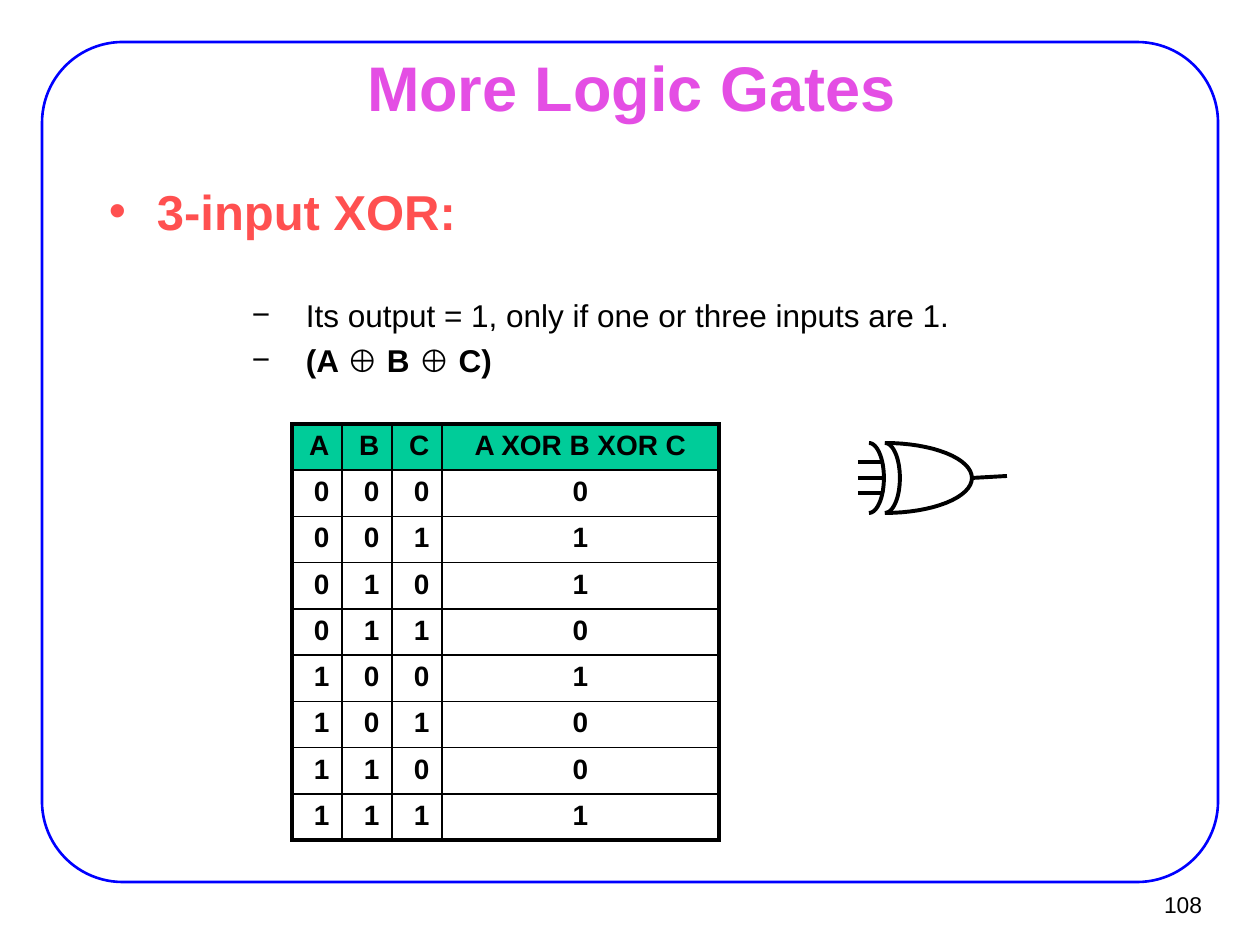
"""Build a slide on the three-input XOR gate with its truth table and symbol."""
from dataclasses import dataclass
from itertools import product
from math import cos, pi, sin

from lxml import etree
from pptx import Presentation
from pptx.dml.color import RGBColor
from pptx.enum.shapes import MSO_CONNECTOR, MSO_SHAPE
from pptx.enum.text import MSO_ANCHOR, PP_ALIGN
from pptx.oxml.ns import qn
from pptx.util import Emu, Pt

STRAIGHT = MSO_CONNECTOR.STRAIGHT
ROUNDED = MSO_SHAPE.ROUNDED_RECTANGLE
TOP, MIDDLE = MSO_ANCHOR.TOP, MSO_ANCHOR.MIDDLE
LEFT, CENTER, RIGHT = PP_ALIGN.LEFT, PP_ALIGN.CENTER, PP_ALIGN.RIGHT
EMU_PER_PX = 914400 / 126


@dataclass(frozen=True)
class Theme:
    font: str = "Arial"
    ink: str = "000000"
    title: str = "E44EE4"
    heading: str = "FF5050"
    frame: str = "0000FF"
    header: str = "00CC99"
    title_size: int = 36
    heading_size: int = 28
    body_size: int = 18
    table_size: int = 16
    number_size: int = 13
    thin: float = 1
    frame_line: float = 1.5
    thick: float = 2.25


THEME = Theme()

TITLE = "More Logic Gates"
PAGE_NUMBER = "108"
HEADING = [("3-input XOR:", True)]
RULE = [("Its output = 1, only if one or three inputs are 1.", False)]
FORMULA = [("(A ", True), ("⊕", False), (" B ", True), ("⊕", False), (" C)", True)]
HEADERS = ["A", "B", "C", "A XOR B XOR C"]
TRUTH_ROWS = [(*bits, sum(bits) % 2) for bits in product((0, 1), repeat=3)]

FRAME = (42, 42, 1176, 840)
TITLE_BOX = (96, 55, 1071, 62)
BODY_BOX = (95, 174, 1071, 634)
NUMBER_BOX = (1137, 881, 77, 47)
TABLE_AT = (292, 424)
COLUMN_WIDTHS = [50, 50, 50, 277]
ROW_HEIGHT = 46
GATE_MIDDLE, GATE_HALF_HEIGHT = 478, 35
GATE_CURVES = [(869, 15), (885, 15), (885, 87)]
GATE_WIRES = [
    (858, 462, 883, 462),
    (858, 478, 882, 478),
    (858, 493, 883, 493),
    (972, 478, 1007, 476),
]


def px(length):
    return Emu(round(length * EMU_PER_PX))


def style(font, size, color, bold=False):
    font.name, font.size, font.bold = THEME.font, Pt(size), bold
    font.color.rgb = RGBColor.from_string(color)


def stroke(line, color, width):
    line.color.rgb = RGBColor.from_string(color)
    line.width = Pt(width)


def add_text_box(slide, box, inset, anchor):
    frame = slide.shapes.add_textbox(*map(px, box)).text_frame
    frame.word_wrap, frame.vertical_anchor = True, anchor
    frame.margin_left = frame.margin_right = px(inset)
    frame.margin_top = frame.margin_bottom = px(inset / 2)
    return frame


def add_line_of_text(slide, box, inset, text, align, size, color, bold):
    paragraph = add_text_box(slide, box, inset, MIDDLE).paragraphs[0]
    paragraph.text, paragraph.alignment = text, align
    style(paragraph.font, size, color, bold)


def add_body(slide):
    items = [
        (HEADING, "•", 48, 48, 0, THEME.heading_size, THEME.heading),
        (RULE, "−", 197, 54, 32, THEME.body_size, THEME.ink),
        (FORMULA, "−", 197, 54, 4, THEME.body_size, THEME.ink),
    ]
    frame = add_text_box(slide, BODY_BOX, 14, TOP)
    for index, (runs, bullet, margin, hanging, space, size, color) in enumerate(items):
        paragraph = frame.add_paragraph() if index else frame.paragraphs[0]
        paragraph.alignment, paragraph.space_before = LEFT, Pt(space)
        properties = paragraph._p.get_or_add_pPr()
        properties.set("marL", str(px(margin)))
        properties.set("indent", str(-px(hanging)))
        etree.SubElement(properties, qn("a:buFont")).set("typeface", THEME.font)
        etree.SubElement(properties, qn("a:buChar")).set("char", bullet)
        for text, bold in runs:
            run = paragraph.add_run()
            run.text = text
            style(run.font, size, color, bold)


def set_border(cell, side, width):
    border = etree.SubElement(cell._tc.get_or_add_tcPr(), qn(f"a:{side}"), w=str(Pt(width)))
    fill = etree.SubElement(border, qn("a:solidFill"))
    etree.SubElement(fill, qn("a:srgbClr")).set("val", THEME.ink)


def add_truth_table(slide):
    rows = [HEADERS, *TRUTH_ROWS]
    last_row, last_column = len(rows) - 1, len(HEADERS) - 1
    size = (sum(COLUMN_WIDTHS), ROW_HEIGHT * len(rows))
    table = slide.shapes.add_table(
        len(rows), len(HEADERS), *map(px, TABLE_AT + size)
    ).table
    for column, width in zip(table.columns, COLUMN_WIDTHS):
        column.width = px(width)
    for r, values in enumerate(rows):
        table.rows[r].height = px(ROW_HEIGHT)
        for c, value in enumerate(values):
            cell = table.cell(r, c)
            outer = {"lnL": c == 0, "lnR": c == last_column,
                     "lnT": r == 0, "lnB": r == last_row}
            for side, is_outer in outer.items():
                set_border(cell, side, THEME.thick if is_outer else THEME.thin)
            if r == 0:
                cell.fill.solid()
                cell.fill.fore_color.rgb = RGBColor.from_string(THEME.header)
            else:
                cell.fill.background()
            paragraph = cell.text_frame.paragraphs[0]
            paragraph.text = str(value)
            paragraph.alignment = CENTER if c == last_column else RIGHT
            style(paragraph.font, THEME.table_size, THEME.ink, True)


def add_gate(slide):
    steps = 32
    angles = [pi * (step / steps - 0.5) for step in range(steps + 1)]
    for left, depth in GATE_CURVES:
        points = [
            (px(left + depth * cos(angle)), px(GATE_MIDDLE + GATE_HALF_HEIGHT * sin(angle)))
            for angle in angles
        ]
        builder = slide.shapes.build_freeform(*points[0])
        builder.add_line_segments(points[1:], close=False)
        curve = builder.convert_to_shape()
        curve.shadow.inherit = False
        curve.fill.background()
        stroke(curve.line, THEME.ink, THEME.thick)
    for ends in GATE_WIRES:
        wire = slide.shapes.add_connector(STRAIGHT, *map(px, ends))
        stroke(wire.line, THEME.ink, THEME.thick)
        etree.SubElement(wire._element.spPr, qn("a:effectLst"))


def main():
    presentation = Presentation()
    presentation.slide_width, presentation.slide_height = px(1260), px(945)
    slide = presentation.slides.add_slide(presentation.slide_layouts[6])
    frame = slide.shapes.add_shape(ROUNDED, *map(px, FRAME))
    frame.adjustments[0] = 0.096
    frame.shadow.inherit = False
    frame.fill.background()
    stroke(frame.line, THEME.frame, THEME.frame_line)
    add_line_of_text(slide, NUMBER_BOX, 12, PAGE_NUMBER, RIGHT,
                     THEME.number_size, THEME.ink, False)
    add_line_of_text(slide, TITLE_BOX, 14, TITLE, CENTER,
                     THEME.title_size, THEME.title, True)
    add_body(slide)
    add_truth_table(slide)
    add_gate(slide)
    presentation.save("out.pptx")


if __name__ == "__main__":
    main()
